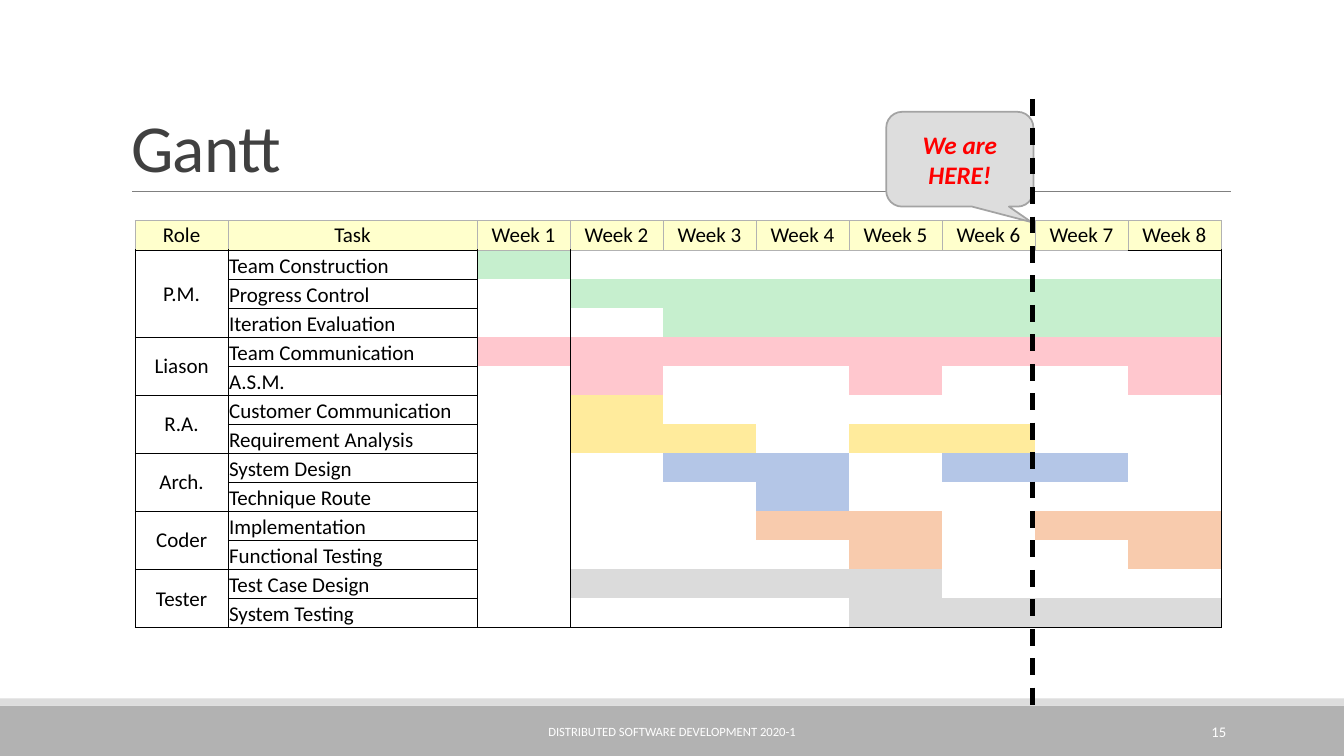
from lxml import etree
from pptx import Presentation
from pptx.dml.color import RGBColor
from pptx.enum.dml import MSO_LINE
from pptx.enum.shapes import MSO_CONNECTOR, MSO_SHAPE
from pptx.enum.text import MSO_ANCHOR, MSO_AUTO_SIZE, PP_ALIGN
from pptx.oxml.ns import qn
from pptx.util import Inches, Pt

RECTANGLE, CALLOUT = MSO_SHAPE.RECTANGLE, MSO_SHAPE.ROUNDED_RECTANGULAR_CALLOUT
STRAIGHT, DASH = MSO_CONNECTOR.STRAIGHT, MSO_LINE.DASH
LEFT, CENTER, RIGHT = PP_ALIGN.LEFT, PP_ALIGN.CENTER, PP_ALIGN.RIGHT
MIDDLE, BOTTOM = MSO_ANCHOR.MIDDLE, MSO_ANCHOR.BOTTOM
NO_AUTOFIT = MSO_AUTO_SIZE.NONE

BLACK = RGBColor(0x00, 0x00, 0x00)
WHITE = RGBColor(0xFF, 0xFF, 0xFF)
RED = RGBColor(0xFF, 0x00, 0x00)
TITLE_GRAY = RGBColor(0x40, 0x40, 0x40)
RULE_GRAY = RGBColor(0x80, 0x80, 0x80)
OUTLINE_GRAY = RGBColor(0xA3, 0xA3, 0xA3)
BAR_GRAY = RGBColor(0xB2, 0xB2, 0xB2)
LIGHT_GRAY = RGBColor(0xDD, 0xDD, 0xDD)
HEADER_YELLOW = RGBColor(0xFF, 0xFF, 0xCC)
GREEN = RGBColor(0xC6, 0xEF, 0xCE)
PINK = RGBColor(0xFF, 0xC7, 0xCE)
YELLOW = RGBColor(0xFF, 0xEB, 0x9C)
BLUE = RGBColor(0xB4, 0xC6, 0xE7)
ORANGE = RGBColor(0xF8, 0xCB, 0xAD)
SILVER = RGBColor(0xDB, 0xDB, 0xDB)

FONT = "Calibri"
TABLE_TEXT_SIZE = 15
PLAIN_TABLE_STYLE = "{2D5ABB26-0587-4C30-8999-92F81FD0307C}"
WEEK_COUNT = 8
HEADERS = ["Role", "Task"] + [f"Week {week}" for week in range(1, WEEK_COUNT + 1)]
ROLES = [
    ("P.M.", GREEN, [("Team Construction", {1}),
                     ("Progress Control", set(range(2, 9))),
                     ("Iteration Evaluation", set(range(3, 9)))]),
    ("Liason", PINK, [("Team Communication", set(range(1, 9))),
                      ("A.S.M.", {2, 5, 8})]),
    ("R.A.", YELLOW, [("Customer Communication", {2}),
                      ("Requirement Analysis", {2, 3, 5, 6})]),
    ("Arch.", BLUE, [("System Design", {3, 4, 6, 7}),
                     ("Technique Route", {4})]),
    ("Coder", ORANGE, [("Implementation", {4, 5, 7, 8}),
                       ("Functional Testing", {5, 8})]),
    ("Tester", SILVER, [("Test Case Design", {2, 3, 4, 5}),
                        ("System Testing", {5, 6, 7, 8})]),
]


def write_text(frame, text, size, color=BLACK, align=LEFT, anchor=MIDDLE,
               bold=False, italic=False):
    """Put one formatted run into a text frame and return the run."""
    frame.word_wrap = True
    frame.vertical_anchor = anchor
    paragraph = frame.paragraphs[0]
    paragraph.alignment = align
    run = paragraph.add_run()
    run.text = text
    font = run.font
    font.name, font.size, font.color.rgb = FONT, Pt(size), color
    font.bold, font.italic = bold, italic
    return run


def add_box(slide, shape_type, left, top, width, height, color):
    """Add a filled shape without outline or shadow."""
    shape = slide.shapes.add_shape(
        shape_type, Inches(left), Inches(top), Inches(width), Inches(height))
    shape.shadow.inherit = False
    shape.fill.solid()
    shape.fill.fore_color.rgb = color
    shape.line.fill.background()
    return shape


def add_line(slide, start, end, color, width):
    """Add a straight line without shadow between two points."""
    connector = slide.shapes.add_connector(
        STRAIGHT, *(Inches(value) for value in (*start, *end)))
    connector.line.color.rgb = color
    connector.line.width = Pt(width)
    etree.SubElement(connector._element.spPr, qn("a:effectLst"))
    return connector


def add_title(slide, left, top, width, height):
    """Fill the title placeholder and rule it off below."""
    title = slide.shapes.title
    title.left, title.top = Inches(left), Inches(top)
    title.width, title.height = Inches(width), Inches(height)
    frame = title.text_frame
    run = write_text(frame, "Gantt", 48, color=TITLE_GRAY, anchor=BOTTOM)
    run.font._element.set("spc", "-50")
    frame.auto_size = NO_AUTOFIT
    frame.paragraphs[0].line_spacing = 0.85
    rule_y = top + height
    add_line(slide, (left + 0.11, rule_y), (left + width + 0.01, rule_y), RULE_GRAY, 0.5)


def style_cell(cell, text="", color=None, borders=None, align=CENTER, anchor=MIDDLE):
    """Give a table cell its text, fill and borders, keyed L, R, T and B."""
    cell.margin_left = cell.margin_right = cell.margin_top = Inches(0.01)
    cell.margin_bottom = 0
    cell.vertical_anchor = anchor
    if text:
        write_text(cell.text_frame, text, TABLE_TEXT_SIZE, align=align, anchor=None)
    else:
        etree.SubElement(cell.text_frame.paragraphs[0]._p, qn("a:endParaRPr"),
                         sz=str(TABLE_TEXT_SIZE * 100))
    properties = cell._tc.get_or_add_tcPr()
    for side, border_color in (borders or {}).items():
        line = etree.SubElement(properties, qn(f"a:ln{side}"), w=str(Pt(0.5)))
        fill = etree.SubElement(line, qn("a:solidFill"))
        etree.SubElement(fill, qn("a:srgbClr"), val=str(border_color))
    if color is None:
        cell.fill.background()
    else:
        cell.fill.solid()
        cell.fill.fore_color.rgb = color


def add_gantt(slide, left, top, width, height):
    """Build the schedule table with one coloured cell per busy week."""
    row_count = 1 + sum(len(tasks) for _, _, tasks in ROLES)
    table = slide.shapes.add_table(
        row_count, len(HEADERS), Inches(left), Inches(top),
        Inches(width), Inches(height)).table
    table.first_row = table.horz_banding = False
    table._tbl.tblPr.find(qn("a:tableStyleId")).text = PLAIN_TABLE_STYLE
    task_width = 2.47
    narrow_width = (width - task_width) / (len(HEADERS) - 1)
    for index, column in enumerate(table.columns):
        column.width = Inches(task_width if index == 1 else narrow_width)
    for table_row in table.rows:
        table_row.height = Inches(height / row_count)

    for index, header in enumerate(HEADERS):
        borders = dict.fromkeys("LRTB", BAR_GRAY)
        if index in (0, 1, WEEK_COUNT + 1):
            borders["B"] = BLACK
        style_cell(table.cell(0, index), header, HEADER_YELLOW, borders)

    frame_borders = dict.fromkeys("LRTB", BLACK)
    row = 1
    for role, color, tasks in ROLES:
        table.cell(row, 0).merge(table.cell(row + len(tasks) - 1, 0))
        for offset, (task, weeks) in enumerate(tasks):
            style_cell(table.cell(row, 0), "" if offset else role, borders=frame_borders)
            style_cell(table.cell(row, 1), task, borders=frame_borders,
                       align=LEFT, anchor=BOTTOM)
            for week in range(1, WEEK_COUNT + 1):
                edges = {"L": week == 1, "R": week == WEEK_COUNT,
                         "B": row == row_count - 1}
                borders = {side: BLACK for side, drawn in edges.items() if drawn}
                style_cell(table.cell(row, week + 1), color=color if week in weeks else None,
                           borders=borders)
            row += 1


def add_footer(slide, left, top, width, height):
    """Draw the two footer bars with the course name and slide number."""
    add_box(slide, RECTANGLE, left, top + 0.07, width, height - 0.07, BAR_GRAY)
    add_box(slide, RECTANGLE, left, top, width, 0.07, LIGHT_GRAY)
    labels = [("DISTRIBUTED SOFTWARE DEVELOPMENT 2020-1", 4.03, 5.27, 9, CENTER),
              ("15", 10.83, 1.43, 10.5, RIGHT)]
    for text, offset, label_width, size, align in labels:
        label = slide.shapes.add_textbox(
            Inches(left + offset), Inches(top + 0.13), Inches(label_width), Inches(0.4))
        write_text(label.text_frame, text, size, color=WHITE, align=align)


def add_today_marker(slide, left, top, width, height):
    """Add the callout and the dashed line for the current date."""
    callout = add_box(slide, CALLOUT, left, top + 0.13, width, 0.94, LIGHT_GRAY)
    for index, value in enumerate((0.487, 0.664, 0.167)):
        callout.adjustments[index] = value
    callout.line.color.rgb = OUTLINE_GRAY
    callout.line.width = Pt(1.25)
    write_text(callout.text_frame, "We are HERE!", 18, color=RED, align=CENTER,
               bold=True, italic=True)
    line_x = left + width - 0.01
    marker = add_line(slide, (line_x, top), (line_x, top + height), BLACK, 3)
    marker.line.dash_style = DASH


def main():
    """Build the slide and save it."""
    presentation = Presentation()
    presentation.slide_width, presentation.slide_height = Inches(13.33), Inches(7.5)
    slide = presentation.slides.add_slide(presentation.slide_layouts[5])
    add_footer(slide, 0, 6.93, 13.33, 0.57)
    add_title(slide, 1.2, 0.31, 11, 1.59)
    add_gantt(slide, 1.34, 2.19, 10.77, 4.04)
    add_today_marker(slide, 8.79, 0.98, 1.46, 6.08)
    presentation.save("out.pptx")


if __name__ == "__main__":
    main()
